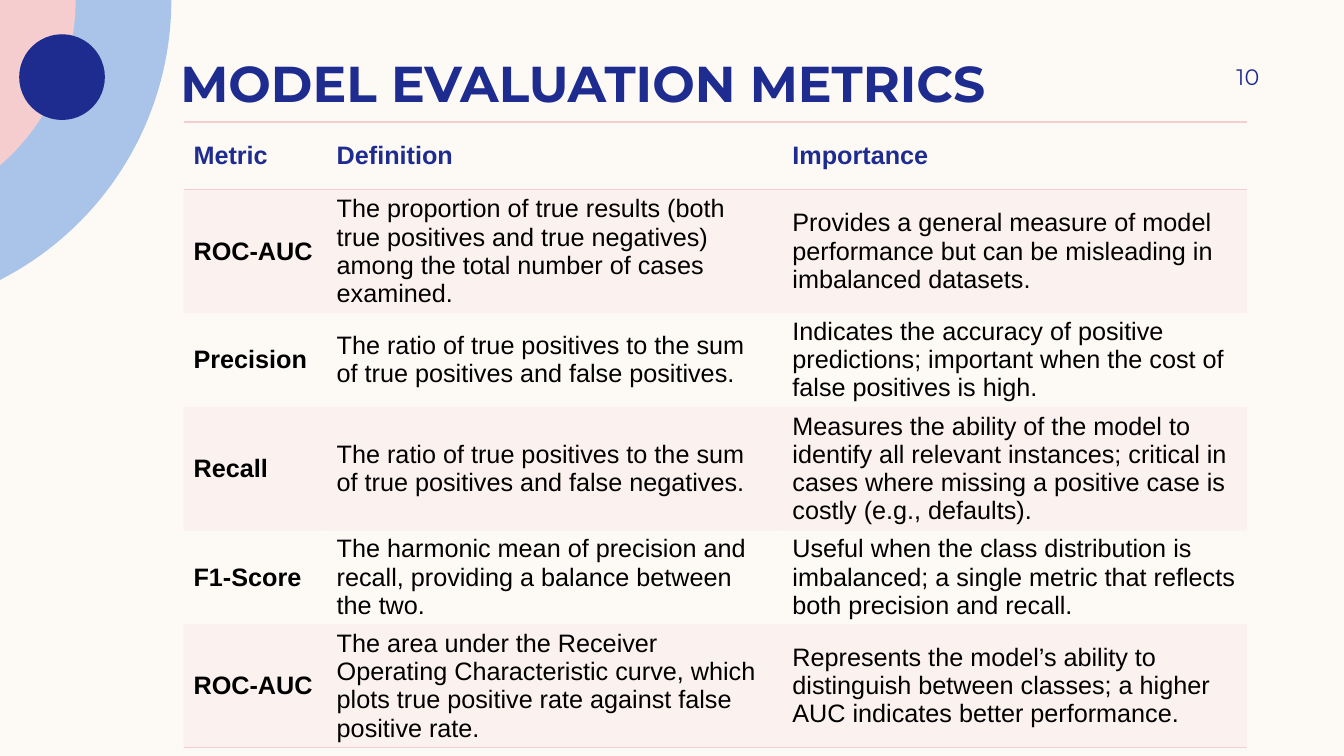
"""Build the model evaluation metrics slide."""
from math import acos, cos, sin
from lxml import etree
from pptx import Presentation
from pptx.dml.color import RGBColor
from pptx.enum.shapes import MSO_SHAPE
from pptx.enum.text import MSO_ANCHOR, PP_ALIGN
from pptx.oxml import parse_xml
from pptx.oxml.ns import nsdecls, qn
from pptx.util import Inches, Pt

OVAL = MSO_SHAPE.OVAL
MIDDLE, BOTTOM = MSO_ANCHOR.MIDDLE, MSO_ANCHOR.BOTTOM
LEFT, RIGHT = PP_ALIGN.LEFT, PP_ALIGN.RIGHT
CREAM = RGBColor(0xFD, 0xFA, 0xF6)
NAVY = RGBColor(0x1F, 0x2C, 0x8F)
BLUE = RGBColor(0xAA, 0xC3, 0xE8)
PINK = RGBColor(0xF5, 0xCD, 0xCE)
BLACK = RGBColor(0, 0, 0)
PLAIN = "{2D5ABB26-0587-4C30-8999-92F81FD0307C}"

ROWS = [
    ("Metric", "Definition", "Importance"),
    ("ROC-AUC",
     "The proportion of true results (both true positives and true negatives) "
     "among the total number of cases examined.",
     "Provides a general measure of model performance but can be misleading in "
     "imbalanced datasets."),
    ("Precision",
     "The ratio of true positives to the sum of true positives and false positives.",
     "Indicates the accuracy of positive predictions; important when the cost of "
     "false positives is high."),
    ("Recall",
     "The ratio of true positives to the sum of true positives and false negatives.",
     "Measures the ability of the model to identify all relevant instances; critical "
     "in cases where missing a positive case is costly (e.g., defaults)."),
    ("F1-Score",
     "The harmonic mean of precision and recall, providing a balance between the two.",
     "Useful when the class distribution is imbalanced; a single metric that reflects "
     "both precision and recall."),
    ("ROC-AUC",
     "The area under the Receiver Operating Characteristic curve, which plots true "
     "positive rate against false positive rate.",
     "Represents the model’s ability to distinguish between classes; a higher AUC "
     "indicates better performance."),
]
WIDTHS = [1.42, 4.52, 4.61]
HEIGHTS = [0.67, 0.66, 0.7, 0.66, 0.66, 0.89]

deck = Presentation()
deck.slide_width, deck.slide_height = Inches(13.33), Inches(7.5)
slide = deck.slides.add_slide(deck.slide_layouts[6])
slide.background.fill.solid()
slide.background.fill.fore_color.rgb = CREAM
shapes = slide.shapes


def paint(shape, color):
    shape.shadow.inherit = False
    shape.fill.solid()
    shape.fill.fore_color.rgb = color
    shape.line.fill.background()


def add_text(box, text, size, bold, anchor, align, pads):
    area = shapes.add_textbox(*[Inches(v) for v in box])
    frame = area.text_frame
    frame.word_wrap = True
    frame.vertical_anchor = anchor
    frame.margin_left, frame.margin_top, frame.margin_right, frame.margin_bottom = [
        Inches(v) for v in pads]
    para = frame.paragraphs[0]
    para.text = text
    para.alignment = align
    para.font.name, para.font.size, para.font.bold = "Montserrat", Pt(size), bold
    para.font.color.rgb = NAVY


center, steps = -1.42, 48
for radius, color in ((3.12, BLUE), (2.17, PINK)):
    sweep = acos(-center / radius)
    arc = [(Inches(center + radius * cos(sweep * i / steps)),
            Inches(radius * sin(sweep * i / steps))) for i in range(steps + 1)]
    disc = shapes.build_freeform(0, 0)
    disc.add_line_segments(arc, close=True)
    paint(disc.convert_to_shape(), color)
dot = shapes.add_shape(OVAL, Inches(0.19), Inches(0.34), Inches(0.85), Inches(0.85))
paint(dot, NAVY)

add_text((1.69, 0.05, 10.8, 1.07), "MODEL EVALUATION METRICS", 36, True,
         BOTTOM, LEFT, (0.1, 0, 0.1, 0))

frame = shapes.add_table(len(ROWS), len(WIDTHS), Inches(1.82), Inches(1.21),
                         Inches(sum(WIDTHS)), Inches(sum(HEIGHTS)))
table = frame.table
table.horz_banding = False
table._tbl.tblPr.find(qn("a:tableStyleId")).text = PLAIN
for col, width in zip(table.columns, WIDTHS):
    col.width = Inches(width)
for row, height in zip(table.rows, HEIGHTS):
    row.height = Inches(height)

for r, texts in enumerate(ROWS):
    sides = {0: ("lnB", "lnT"), len(ROWS) - 1: ("lnB",)}.get(r, ())
    for c, text in enumerate(texts):
        cell = table.cell(r, c)
        cell.vertical_anchor = MIDDLE
        cell.margin_top = cell.margin_bottom = Pt(1)
        para = cell.text_frame.paragraphs[0]
        para.text = text
        para.font.name, para.font.size = "Arial", Pt(18)
        para.font.bold = r == 0 or c == 0
        para.font.color.rgb = BLACK if r else NAVY
        props = cell._tc.get_or_add_tcPr()
        if r % 2:
            cell.fill.solid()
            cell.fill.fore_color.rgb = PINK
            tint = props.find(".//" + qn("a:srgbClr"))
            etree.SubElement(tint, qn("a:alpha"), val="20000")
        else:
            cell.fill.background()
        for side in sides:
            props.insert(0, parse_xml(
                f'<a:{side} {nsdecls("a")} w="12700"><a:solidFill>'
                f'<a:srgbClr val="{PINK}"/></a:solidFill></a:{side}>'))

add_text((11.32, 0.5, 1.17, 0.52), "10", 16, False, MIDDLE, RIGHT,
         (0.1, 0.05, 0, 0.05))

deck.save("out.pptx")
